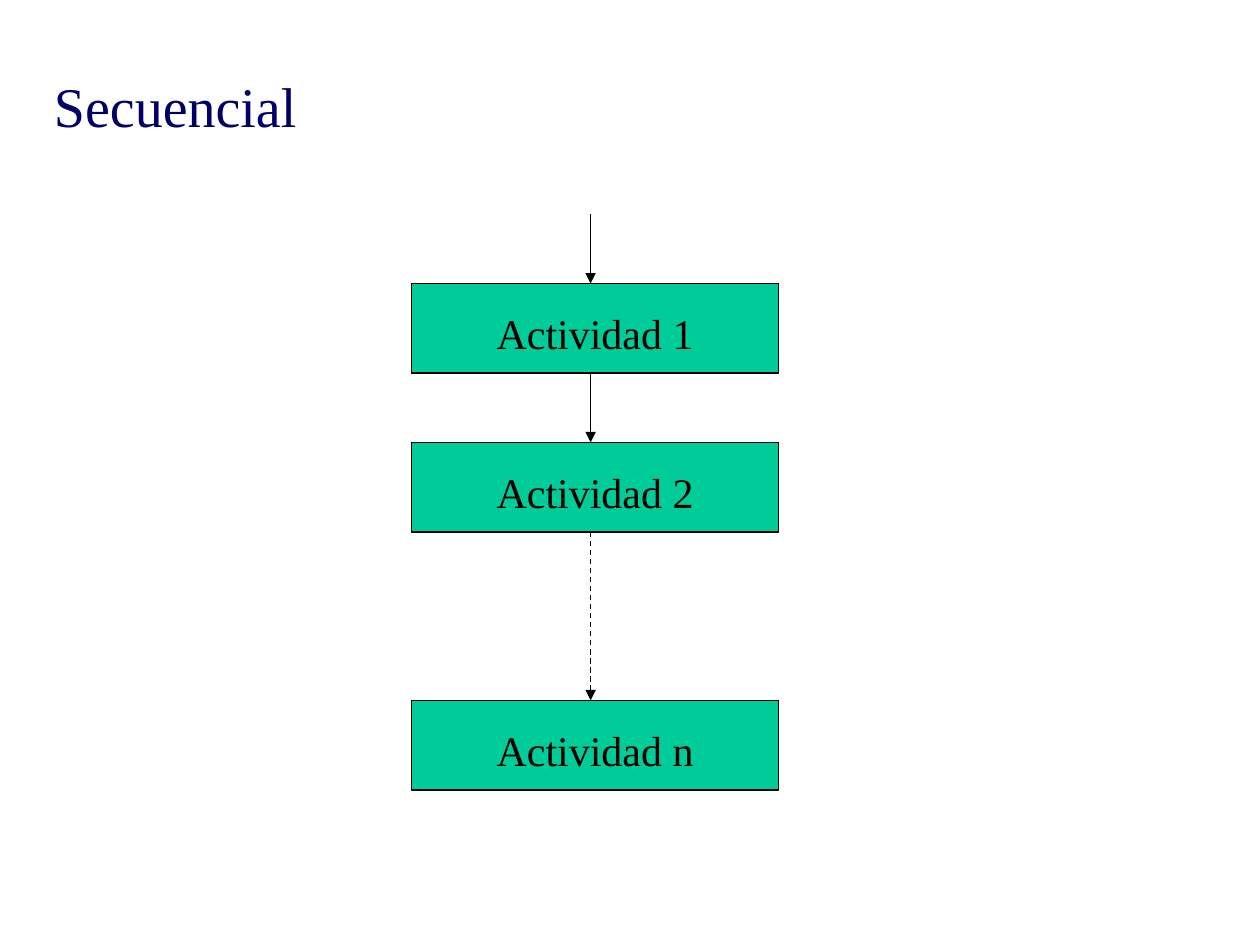
"""Build a slide with a sequential flow of activities."""
from lxml import etree
from pptx import Presentation
from pptx.dml.color import RGBColor
from pptx.enum import dml, shapes, text
from pptx.oxml import ns
from pptx.util import Pt

NAVY = RGBColor(0x00, 0x00, 0x66)
GREEN = RGBColor(0x00, 0xCC, 0x99)
BLACK = RGBColor(0, 0, 0)
FACE = "Times New Roman"

TITLE = "Secuencial"
STEPS = [("Actividad 1", 162), ("Actividad 2", 252.75), ("Actividad n", 400.25)]
LEFT, WIDE, HIGH = 235.25, 209.75, 51.25
AXIS, START = 337.5, 122.5


def write(shape, words, frame, align, font):
    box = shape.text_frame
    for key, val in frame.items():
        setattr(box, key, val)
    para = box.paragraphs[0]
    para.alignment = align
    run = para.add_run()
    run.text = words
    run.font.color.rgb = font["color"]
    for key, val in {"name": FACE, "size": Pt(font["size"])}.items():
        setattr(run.font, key, val)


def add_step(slide, words, top):
    box = slide.shapes.add_shape(
        shapes.MSO_SHAPE.RECTANGLE, Pt(LEFT), Pt(top), Pt(WIDE), Pt(HIGH))
    box.shadow.inherit = False
    box.fill.solid()
    box.fill.fore_color.rgb = GREEN
    box.line.color.rgb = BLACK
    box.line.width = Pt(0.75)
    frame = {"word_wrap": False, "vertical_anchor": text.MSO_ANCHOR.MIDDLE,
             "margin_top": Pt(8.4), "margin_bottom": Pt(3.6)}
    write(box, words, frame, text.PP_ALIGN.CENTER, {"size": 24, "color": BLACK})


def add_arrow(slide, top, end, dash=None):
    link = slide.shapes.add_connector(
        shapes.MSO_CONNECTOR.STRAIGHT, Pt(AXIS), Pt(top), Pt(AXIS), Pt(end))
    link.line.color.rgb = BLACK
    link.line.width = Pt(0.75)
    if dash:
        link.line.dash_style = dash
    props = link._element.spPr
    tip = etree.SubElement(props.find(ns.qn("a:ln")), ns.qn("a:tailEnd"))
    tip.set("type", "triangle")
    etree.SubElement(props, ns.qn("a:effectLst"))


def main():
    deck = Presentation()
    deck.slide_width, deck.slide_height = Pt(720), Pt(540)
    slide = deck.slides.add_slide(deck.slide_layouts[6])

    title = slide.shapes.add_textbox(Pt(23.75), Pt(32.4), Pt(678.25), Pt(50.4))
    frame = {"word_wrap": True, "vertical_anchor": text.MSO_ANCHOR.BOTTOM}
    write(title, TITLE, frame, text.PP_ALIGN.LEFT, {"size": 32, "color": NAVY})

    for words, top in STEPS:
        add_step(slide, words, top)

    first, second, last = [top for _, top in STEPS]
    add_arrow(slide, START, first)
    add_arrow(slide, first + HIGH, second)
    add_arrow(slide, second + HIGH, second + HIGH)
    add_arrow(slide, second + HIGH, last, dml.MSO_LINE.DASH)

    deck.save("out.pptx")


if __name__ == "__main__":
    main()
